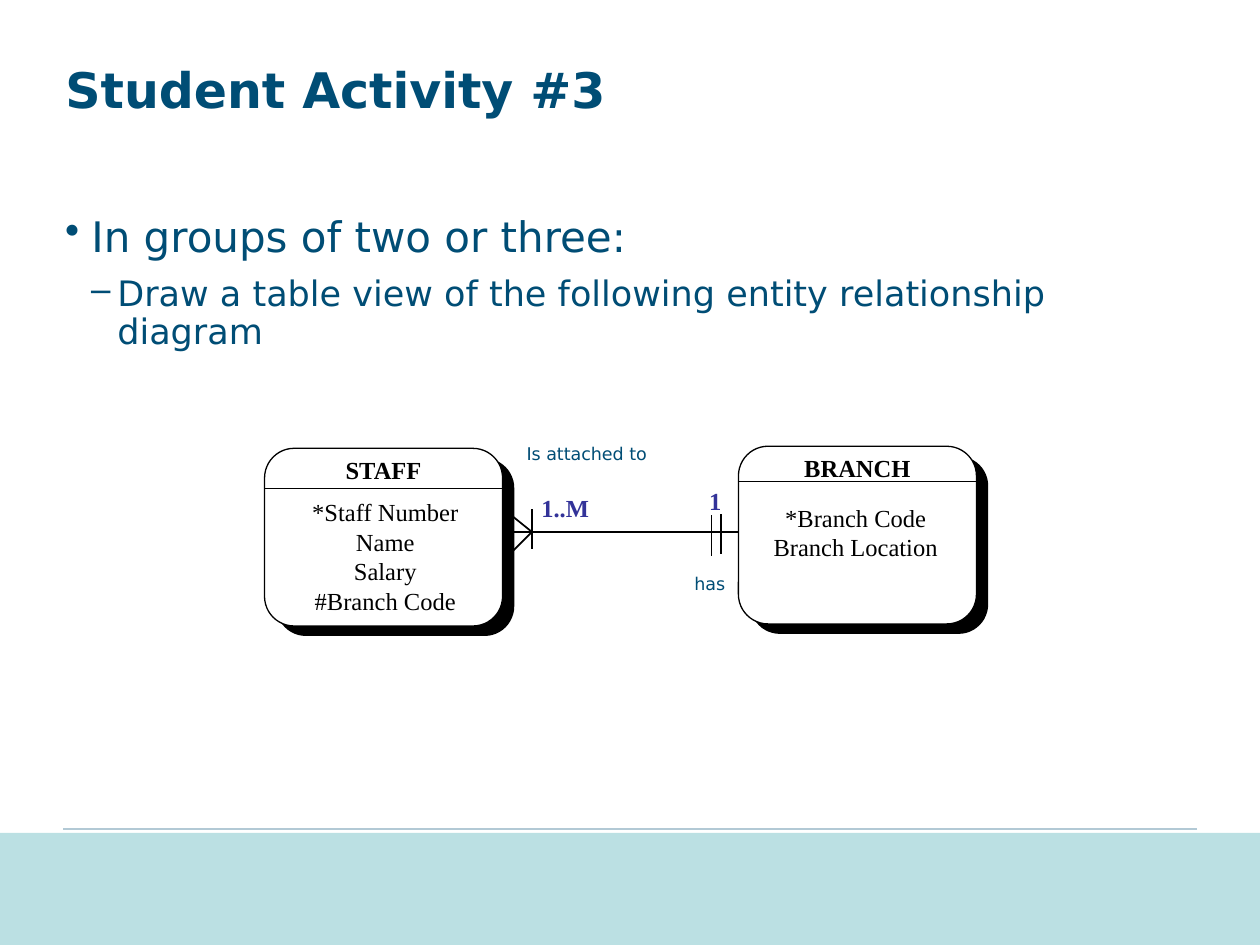
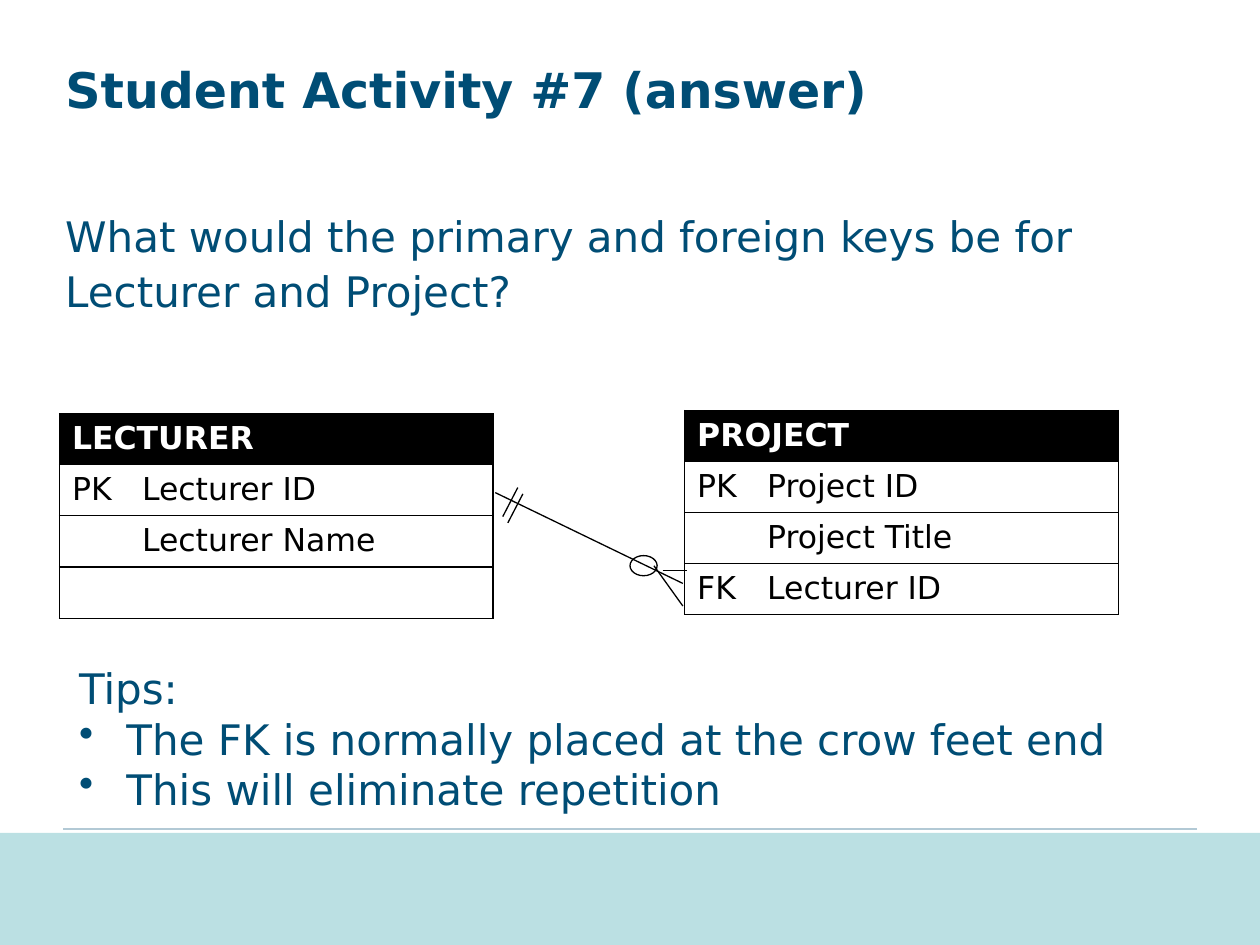
from lxml import etree
from pptx import Presentation
from pptx.dml.color import RGBColor
from pptx.enum.shapes import MSO_CONNECTOR, MSO_SHAPE
from pptx.enum.text import MSO_ANCHOR, MSO_AUTO_SIZE, PP_ALIGN
from pptx.oxml.ns import qn
from pptx.util import Pt

STRAIGHT = MSO_CONNECTOR.STRAIGHT
RECTANGLE, OVAL = MSO_SHAPE.RECTANGLE, MSO_SHAPE.OVAL
ROUNDED_BOX = MSO_SHAPE.FLOWCHART_ALTERNATE_PROCESS
LEFT, CENTER, RIGHT = PP_ALIGN.LEFT, PP_ALIGN.CENTER, PP_ALIGN.RIGHT
TOP = MSO_ANCHOR.TOP
NO_AUTOFIT = MSO_AUTO_SIZE.NONE

COLORS = {
    "text": "004D75",
    "rule": "B2C9D5",
    "band": "BBE0E3",
    "cardinality": "333399",
    "black": "000000",
    "white": "FFFFFF",
}
SANS, SERIF = "DejaVu Sans", "Times New Roman"
SLIDE_WIDTH, SLIDE_HEIGHT = 720, 540
MARGIN, CONTENT_WIDTH = 30.2, 653.8
BODY_TOP = 113.8
BAND_TOP = 476
ENTITY_WIDTH, ENTITY_HEIGHT = 136, 101.5
TABLE_WIDTH, ROW_HEIGHT, KEY_TAB = 247.7, 29.2, 40


def rgb(name):
    return RGBColor.from_string(COLORS[name])


def format_paragraph(paragraph, size, color="text", font=SANS, bold=False, align=LEFT):
    paragraph.alignment = align
    for run in paragraph.runs:
        run.font.size = Pt(size)
        run.font.name = font
        run.font.bold = bold
        run.font.color.rgb = rgb(color)


def add_text(slide, left, top, width, height, text, size, **style):
    box = slide.shapes.add_textbox(Pt(left), Pt(top), Pt(width), Pt(height))
    frame = box.text_frame
    frame.word_wrap = True
    frame.text = text
    for paragraph in frame.paragraphs:
        format_paragraph(paragraph, size, **style)
    return frame


def set_bullet(paragraph, character, margin, hanging):
    properties = paragraph._p.get_or_add_pPr()
    properties.set("marL", str(Pt(margin)))
    properties.set("indent", str(-Pt(hanging)))
    etree.SubElement(properties, qn("a:buChar")).set("char", character)


def set_spacing(paragraph, line, before=0, after=0):
    paragraph.line_spacing = line
    paragraph.space_before = Pt(before)
    paragraph.space_after = Pt(after)


def add_line(slide, start_x, start_y, end_x, end_y, color="black", width=0.75):
    line = slide.shapes.add_connector(
        STRAIGHT, Pt(start_x), Pt(start_y), Pt(end_x), Pt(end_y))
    line.line.color.rgb = rgb(color)
    line.line.width = Pt(width)
    etree.SubElement(line._element.spPr, qn("a:effectLst"))


def add_box(slide, kind, left, top, width, height, fill=None, outline=None):
    box = slide.shapes.add_shape(kind, Pt(left), Pt(top), Pt(width), Pt(height))
    box.shadow.inherit = False
    if fill:
        box.fill.solid()
        box.fill.fore_color.rgb = rgb(fill)
    else:
        box.fill.background()
    if outline:
        box.line.color.rgb = rgb(outline)
        box.line.width = Pt(0.75)
    else:
        box.line.fill.background()


def add_titled_slide(presentation, text):
    """Add a slide with the shared title style, footer rule and band."""
    slide = presentation.slides.add_slide(presentation.slide_layouts[5])
    title = slide.shapes.title
    title.left, title.top = Pt(MARGIN), Pt(MARGIN)
    title.width, title.height = Pt(CONTENT_WIDTH), Pt(84.2)
    frame = title.text_frame
    frame.text = text
    frame.word_wrap = True
    frame.auto_size = NO_AUTOFIT
    frame.vertical_anchor = TOP
    format_paragraph(frame.paragraphs[0], 28, bold=True)
    add_line(slide, 684, 473.8, 36, 473.8, "rule", 1.25)
    add_box(slide, RECTANGLE, 0, BAND_TOP, SLIDE_WIDTH, SLIDE_HEIGHT - BAND_TOP, "band")
    return slide


def add_entity(slide, left, top, name, attributes, divider, attributes_offset):
    """Draw a rounded entity box; offsets are measured from its top left."""
    add_box(slide, ROUNDED_BOX, left + 6.7, top + 5.7,
            ENTITY_WIDTH, ENTITY_HEIGHT, "black")
    add_box(slide, ROUNDED_BOX, left, top, ENTITY_WIDTH, ENTITY_HEIGHT, "white", "black")
    shift, drop = attributes_offset
    style = {"color": "black", "font": SERIF, "align": CENTER}
    add_text(slide, left + shift, top + drop, ENTITY_WIDTH, 17 * len(attributes) + 8,
             "\n".join(attributes), 14, **style)
    add_text(slide, left, top + 0.5, ENTITY_WIDTH, 24, name, 14, bold=True, **style)
    add_line(slide, left + 0.5, top + divider, left + ENTITY_WIDTH - 0.5, top + divider)


def set_borders(cell):
    properties = cell._tc.get_or_add_tcPr()
    for side in ("lnL", "lnR", "lnT", "lnB"):
        border = etree.SubElement(properties, qn(f"a:{side}"), w=str(Pt(0.75)))
        fill = etree.SubElement(border, qn("a:solidFill"))
        etree.SubElement(fill, qn("a:srgbClr"), val=COLORS["black"])


def set_key_tab(paragraph):
    tabs = etree.SubElement(paragraph._p.get_or_add_pPr(), qn("a:tabLst"))
    etree.SubElement(tabs, qn("a:tab"), pos=str(Pt(KEY_TAB)), algn="l")


def add_entity_table(slide, left, top, name, fields):
    """Add a header row and one row per (key, field) pair."""
    rows = [name] + [f"{key}\t{field}" if field else "" for key, field in fields]
    table = slide.shapes.add_table(
        len(rows), 1, Pt(left), Pt(top), Pt(TABLE_WIDTH), Pt(ROW_HEIGHT * len(rows))).table
    table.horz_banding = False
    for index, text in enumerate(rows):
        header = index == 0
        cell = table.cell(index, 0)
        set_borders(cell)
        if header:
            cell.fill.solid()
            cell.fill.fore_color.rgb = rgb("black")
        else:
            cell.fill.background()
        cell.text = text
        paragraph = cell.text_frame.paragraphs[0]
        if "\t" in text:
            set_key_tab(paragraph)
        format_paragraph(paragraph, 18, "white" if header else "black", bold=header)


def build_diagram_activity(presentation):
    slide = add_titled_slide(presentation, "Student Activity #3")
    frame = add_text(slide, MARGIN, BODY_TOP, CONTENT_WIDTH, 93,
                     "In groups of two or three:", 24)
    group_line, task = frame.paragraphs[0], frame.add_paragraph()
    set_bullet(group_line, "•", 15, 15)
    set_spacing(group_line, 1.1, after=4.8)
    task.text = "Draw a table view of the following entity relationship diagram"
    task.level = 1
    set_bullet(task, "–", 29.75, 15)
    set_spacing(task, 0.9, before=4, after=2)
    format_paragraph(task, 20)

    add_entity(slide, 151.2, 256.2, "STAFF",
               ["*Staff Number", "Name", "Salary", "#Branch Code"], 23, (1, 24.5))
    add_entity(slide, 422, 255, "BRANCH",
               ["*Branch Code", "Branch Location"], 20, (-1, 28.8))

    axis, foot = 304, 304
    staff_edge, branch_edge = 287.5, 422
    add_line(slide, branch_edge, axis, staff_edge, axis, width=1)
    add_line(slide, 288.7, 291.6, foot, axis, width=1)
    add_line(slide, foot, axis, staff_edge, 320.4, width=1)
    for tick_x, tick_top in ((foot, 291), (406.4, 294.5), (412, 293.8)):
        add_line(slide, tick_x, tick_top, tick_x, tick_top + 23)

    cardinality = {"color": "cardinality", "font": SERIF, "bold": True, "align": CENTER}
    add_text(slide, 396.7, 274.3, 24, 24, "1", 14, **cardinality)
    add_text(slide, 301, 278, 44, 24, "1..M", 14, **cardinality)
    add_text(slide, 293.8, 249.8, 101, 19.4, "Is attached to", 10)
    add_text(slide, 320.4, 324, 101, 19.4, "has", 10, align=RIGHT)


def build_keys_answer(presentation):
    slide = add_titled_slide(presentation, "Student Activity #7 (answer)")
    question = add_text(
        slide, MARGIN, BODY_TOP, CONTENT_WIDTH, 70.6,
        "What would the primary and foreign keys be for Lecturer and Project?", 24)
    set_spacing(question.paragraphs[0], 1.1, after=4.8)

    add_entity_table(slide, 34, 236.4, "LECTURER",
                     [("PK", "Lecturer ID"), ("", "Lecturer Name"), ("", "")])
    add_entity_table(slide, 391.2, 234.6, "PROJECT",
                     [("PK", "Project ID"), ("", "Project Title"), ("FK", "Lecturer ID")])

    add_line(slide, 283, 281.5, 390.2, 333.4)
    add_line(slide, 373.7, 323.3, 390.2, 346.3)
    add_line(slide, 378.7, 326, 392.4, 326)
    for tick_x, tick_y in ((287.3, 295.2), (290.2, 298.8)):
        add_line(slide, tick_x, tick_y, tick_x + 8.6, tick_y - 16.6)
    add_box(slide, OVAL, 360, 317.5, 15.5, 11.5, outline="black")

    tips = add_text(slide, 38.2, 375.1, 619.2, 98, "\n".join([
        "Tips:",
        "The FK is normally placed at the crow feet end",
        "This will eliminate repetition"]), 24)
    for paragraph in tips.paragraphs[1:]:
        set_bullet(paragraph, "•", 27, 27)


def main():
    presentation = Presentation()
    presentation.slide_width = Pt(SLIDE_WIDTH)
    presentation.slide_height = Pt(SLIDE_HEIGHT)
    build_diagram_activity(presentation)
    build_keys_answer(presentation)
    presentation.save("out.pptx")


if __name__ == "__main__":
    main()
